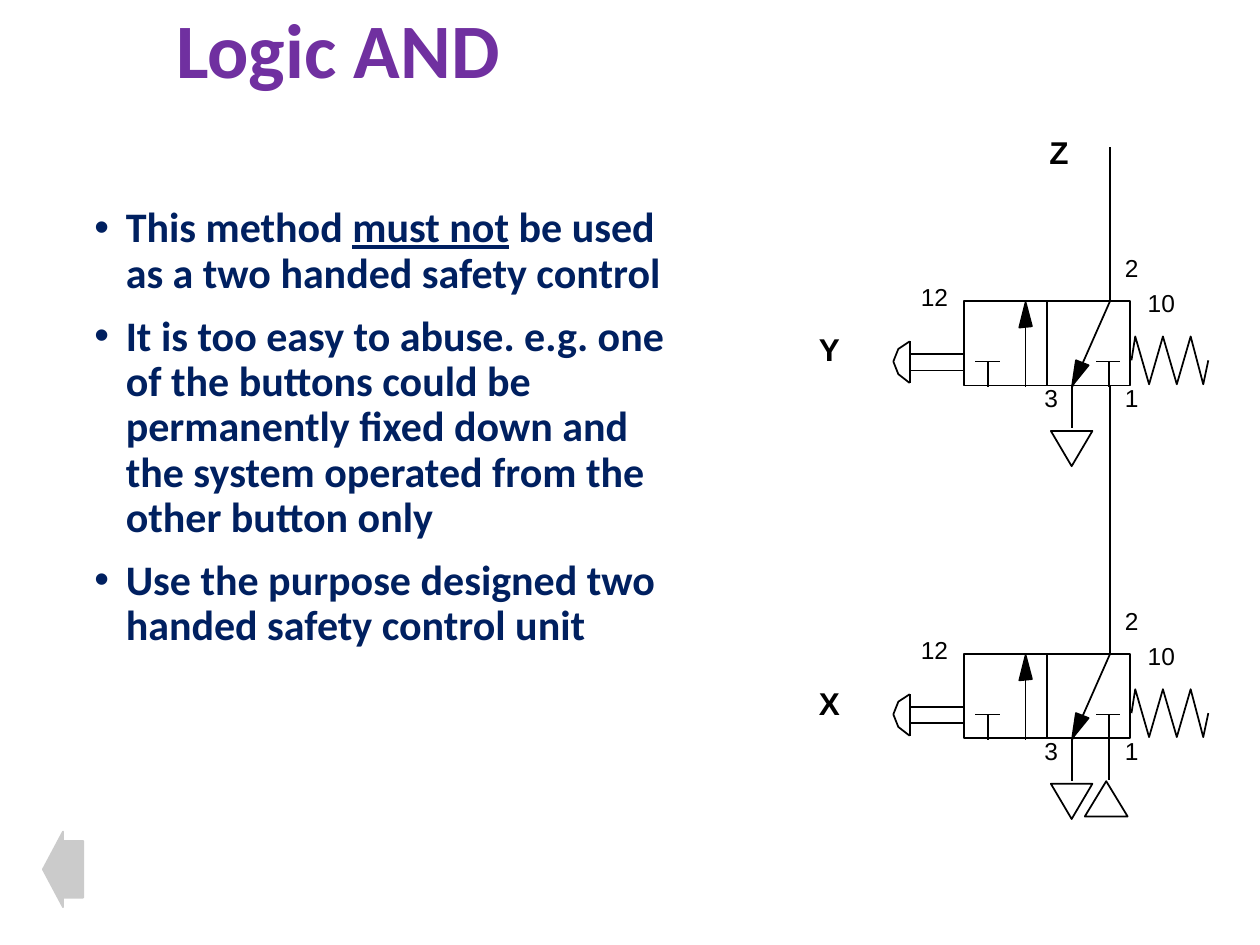
from lxml import etree
from pptx import Presentation
from pptx.dml.color import RGBColor
from pptx.enum.shapes import MSO_CONNECTOR, MSO_SHAPE
from pptx.enum.text import MSO_ANCHOR, MSO_AUTO_SIZE
from pptx.oxml.ns import qn
from pptx.util import Inches, Pt

STRAIGHT = MSO_CONNECTOR.STRAIGHT
RECTANGLE = MSO_SHAPE.RECTANGLE
TRIANGLE = MSO_SHAPE.ISOSCELES_TRIANGLE
LEFT_ARROW = MSO_SHAPE.LEFT_ARROW
MIDDLE = MSO_ANCHOR.MIDDLE
FIT_SHAPE = MSO_AUTO_SIZE.SHAPE_TO_FIT_TEXT

BLACK, PURPLE, NAVY, GREY = "000000", "7030A0", "002060", "CBCBCB"

TITLE = "Logic AND"
BULLETS = [
    [("This method ", False), ("must not", True),
     (" be used as a two handed safety control", False)],
    [("It is too easy to abuse. e.g. one of the buttons could be permanently "
      "fixed down and the system operated from the other button only", False)],
    [("Use the purpose designed two handed safety control unit", False)],
]
SIGNALS = [("Z", 8.23, 1.01), ("Y", 6.4, 2.57), ("X", 6.4, 5.38)]

VALVE_TOPS = [2.39, 5.19]
BODY_LEFT, BODY_WIDTH, BODY_HEIGHT = 7.65, 1.32, 0.67
OUTLET_X, SUPPLY_X, EXHAUST_X = 8.81, 8.8, 8.51

# Vertical values below are measured from the top of each valve body.
VALVE_LINES = [
    (EXHAUST_X, 0.67, EXHAUST_X, 1.01),
    (SUPPLY_X, 0.48, SUPPLY_X, 0.68),
    (8.7, 0.48, 8.89, 0.48),
    (7.74, 0.48, 7.94, 0.48),
    (7.84, 0.48, 7.84, 0.68),
    (OUTLET_X, 0, EXHAUST_X, 0.68),
    (8.14, 0.68, 8.14, 0),
    (7.22, 0.32, 7.22, 0.65),
    (7.23, 0.42, BODY_LEFT, 0.42),
    (7.23, 0.55, BODY_LEFT, 0.55),
]
ARROWHEADS = [
    [(8.14, 0.01), (8.09, 0.21), (8.19, 0.2)],
    [(8.51, 0.67), (8.54, 0.47), (8.64, 0.51)],
]
BUTTON = [(7.22, 0.32), (7.13, 0.38), (7.09, 0.48), (7.13, 0.58), (7.22, 0.65)]
SPRING = [(9.59, 0.47), (9.55, 0.66), (9.45, 0.28), (9.34, 0.66),
          (9.23, 0.28), (9.12, 0.66), (9.01, 0.28), (8.98, 0.47)]
PORTS = [("1", 8.83, 0.6, 0.31), ("2", 8.83, -0.43, 0.31), ("3", 8.19, 0.6, 0.31),
         ("12", 7.21, -0.2, 0.42), ("10", 9.01, -0.15, 0.42)]


def color(value):
    return RGBColor.from_string(value)


def style(shape, fill=None, line=BLACK):
    shape.shadow.inherit = False
    if fill:
        shape.fill.solid()
        shape.fill.fore_color.rgb = color(fill)
    else:
        shape.fill.background()
    shape.line.color.rgb = color(line)
    shape.line.width = Pt(1)


def add_preset(slide, kind, left, top, width, height, fill=None, line=BLACK):
    shape = slide.shapes.add_shape(
        kind, Inches(left), Inches(top), Inches(width), Inches(height))
    style(shape, fill, line)
    return shape


def add_line(slide, x1, y1, x2, y2):
    connector = slide.shapes.add_connector(
        STRAIGHT, Inches(x1), Inches(y1), Inches(x2), Inches(y2))
    connector.line.color.rgb = color(BLACK)
    connector.line.width = Pt(1)
    etree.SubElement(connector._element.spPr, qn("a:effectLst"))
    return connector


def add_outline(slide, points, top, closed=False, fill=None):
    corners = [(Inches(x), Inches(top + y)) for x, y in points]
    builder = slide.shapes.build_freeform(*corners[0])
    builder.add_line_segments(corners[1:], close=closed)
    style(builder.convert_to_shape(), fill)


def set_font(paragraph, name, size, value, bold):
    paragraph.font.name = name
    paragraph.font.size = Pt(size)
    paragraph.font.color.rgb = color(value)
    paragraph.font.bold = bold


def add_text_box(slide, left, top, width, height):
    box = slide.shapes.add_textbox(
        Inches(left), Inches(top), Inches(width), Inches(height))
    box.text_frame.word_wrap = True
    return box.text_frame


def add_label(slide, text, left, top, width, height, size, bold=False):
    frame = add_text_box(slide, left, top, width, height)
    frame.word_wrap = False
    frame.auto_size = FIT_SHAPE
    paragraph = frame.paragraphs[0]
    paragraph.text = text
    set_font(paragraph, "Arial", size, BLACK, bold)


def add_title(slide):
    frame = add_text_box(slide, 1.3, 0.02, 7.47, 0.81)
    frame.vertical_anchor = MIDDLE
    paragraph = frame.paragraphs[0]
    paragraph.text = TITLE
    paragraph.line_spacing = 0.9
    set_font(paragraph, "Calibri", 44, PURPLE, True)


def add_bullets(slide):
    frame = add_text_box(slide, 0.65, 1.59, 4.79, 5.23)
    for index, parts in enumerate(BULLETS):
        paragraph = frame.add_paragraph() if index else frame.paragraphs[0]
        paragraph.line_spacing = 0.9
        if index:
            paragraph.space_before = Pt(10)
        properties = paragraph._p.get_or_add_pPr()
        properties.set("marL", str(Inches(0.25)))
        properties.set("indent", str(-Inches(0.25)))
        etree.SubElement(properties, qn("a:buFont"), typeface="Arial")
        etree.SubElement(properties, qn("a:buChar"), char="•")
        set_font(paragraph, "Calibri", 24, NAVY, True)
        for text, underlined in parts:
            run = paragraph.add_run()
            run.text = text
            if underlined:
                run.font.underline = True


def add_valve(slide, top):
    body = add_preset(slide, RECTANGLE, BODY_LEFT, top, BODY_WIDTH, BODY_HEIGHT)
    center = BODY_LEFT + BODY_WIDTH / 2
    divider = add_line(slide, center, top, center, top + BODY_HEIGHT)
    divider.begin_connect(body, 0)
    divider.end_connect(body, 2)
    for x1, y1, x2, y2 in VALVE_LINES:
        add_line(slide, x1, top + y1, x2, top + y2)
    for points in ARROWHEADS:
        add_outline(slide, points, top, closed=True, fill=BLACK)
    for points in (BUTTON, SPRING):
        add_outline(slide, points, top)
    exhaust = add_preset(slide, TRIANGLE, 8.34, top + 1.03, 0.33, 0.28)
    exhaust.rotation = 180
    for text, left, offset, width in PORTS:
        add_label(slide, text, left, top + offset, width, 0.33, 14)


def main():
    presentation = Presentation()
    presentation.slide_width = Inches(10)
    presentation.slide_height = Inches(7.5)
    slide = presentation.slides.add_slide(presentation.slide_layouts[6])

    add_title(slide)
    add_bullets(slide)
    for top in VALVE_TOPS:
        add_valve(slide, top)

    upper, lower = VALVE_TOPS
    add_line(slide, OUTLET_X, 1.17, OUTLET_X, upper)
    add_line(slide, OUTLET_X, upper + BODY_HEIGHT, OUTLET_X, lower)
    add_line(slide, SUPPLY_X, lower + BODY_HEIGHT, SUPPLY_X, lower + 1)
    add_preset(slide, TRIANGLE, 8.61, lower + 1.01, 0.34, 0.28)
    for text, left, top in SIGNALS:
        add_label(slide, text, left, top, 0.37, 0.4, 18, True)

    arrow = add_preset(slide, LEFT_ARROW, 0.34, 6.6, 0.32, 0.6, GREY, GREY)
    arrow.adjustments[0] = 0.75
    arrow.adjustments[1] = 0.5

    presentation.save("out.pptx")


if __name__ == "__main__":
    main()
